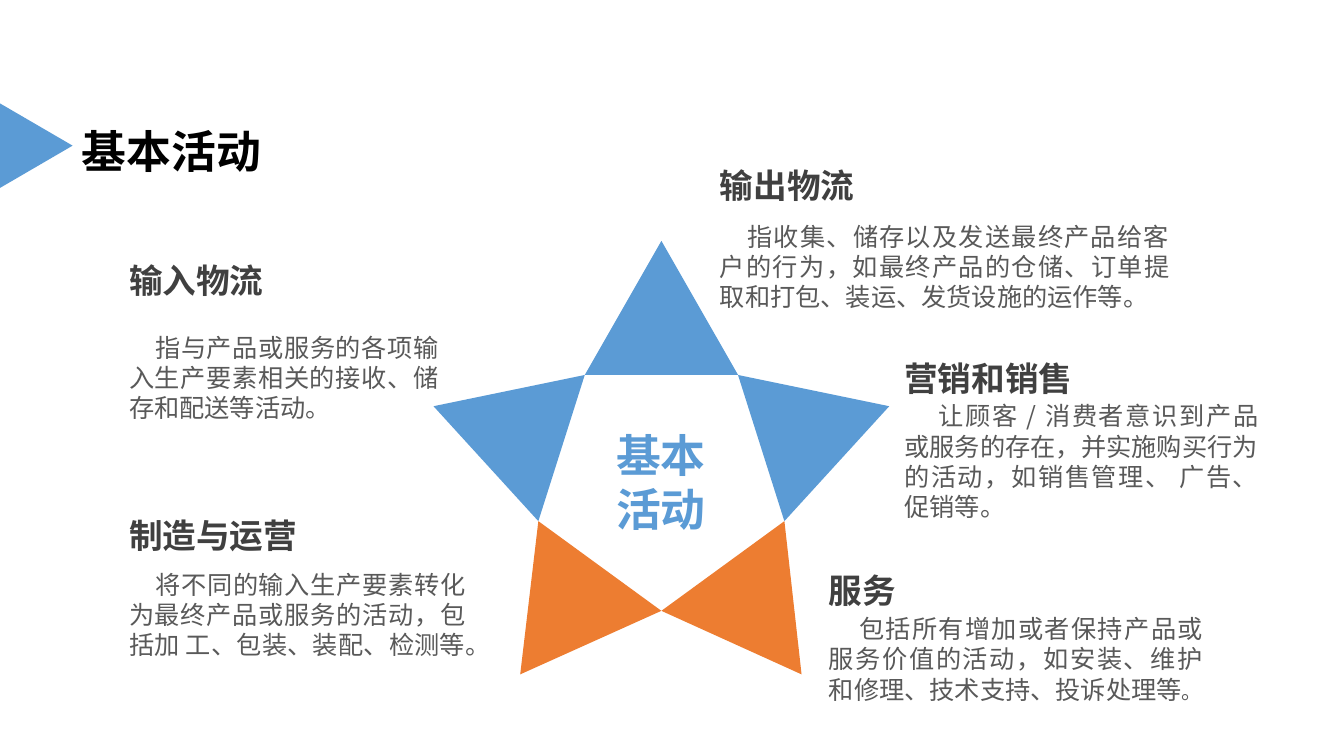
import pptx
import pptx.dml.color
import pptx.enum.shapes
import pptx.enum.text
import pptx.oxml
import pptx.oxml.ns
import pptx.util

Inches = pptx.util.Inches
Pt = pptx.util.Pt
ALIGN = pptx.enum.text.PP_ALIGN
FONT = "Noto Sans CJK SC"
BLUE = "5B9BD5"
ORANGE = "ED7D31"


def paint(fill, color):
    fill.solid()
    fill.fore_color.rgb = pptx.dml.color.RGBColor.from_string(color)


def add_text(box, runs, color, bold=False, align=ALIGN.LEFT, indent=0, inset=(0, 0), wrap=True):
    shape = slide.shapes.add_textbox(*[Inches(length) for length in box])
    size = runs[0][1]
    frame = shape.text_frame
    frame.word_wrap = wrap
    frame.margin_left = frame.margin_right = Inches(inset[0])
    frame.margin_top = Inches(inset[1]) + Pt(size / 10)
    frame.margin_bottom = Inches(inset[1])
    paragraph = frame.paragraphs[0]
    paragraph.alignment = align
    paragraph.line_spacing = Pt(size * 1.2)
    paragraph._p.get_or_add_pPr().set("indent", str(Inches(indent)))
    for text, points, latin in runs:
        run = paragraph.add_run()
        run.text = text
        run.font.size = Pt(points)
        run.font.bold = bold
        run.font.name = latin
        paint(run.font.fill, color)
        east_asian = pptx.oxml.parse_xml(
            f'<a:ea {pptx.oxml.ns.nsdecls("a")} typeface="{FONT}"/>')
        run._r.get_or_add_rPr().append(east_asian)


presentation = pptx.Presentation()
presentation.slide_width = Inches(13.33)
presentation.slide_height = Inches(7.5)
slide = presentation.slides.add_slide(presentation.slide_layouts[6])

add_text((0.68, 1.11, 2.05, 0.67), [("基本活动", 32, FONT)], "000000",
         bold=True, inset=(0.13, 0.07), wrap=False)

marker = slide.shapes.add_shape(
    pptx.enum.shapes.MSO_SHAPE.ISOSCELES_TRIANGLE,
    Inches(-0.07), Inches(1.08), Inches(0.85), Inches(0.73))
marker.rotation = 90
marker.shadow.inherit = False
paint(marker.fill, BLUE)
marker.line.fill.background()

tips = [(6.56, 2.39), (8.82, 4.03), (7.95, 6.69), (5.16, 6.69), (4.3, 4.03)]
notches = [(7.32, 3.72), (7.78, 5.17), (6.56, 6.06), (5.34, 5.17), (5.8, 3.72)]
ray_colors = [BLUE, BLUE, ORANGE, ORANGE, BLUE]
for index, (tip, color) in enumerate(zip(tips, ray_colors)):
    corners = [(Inches(x), Inches(y)) for x, y in (notches[index - 1], tip, notches[index])]
    builder = slide.shapes.build_freeform(*corners[0])
    builder.add_line_segments(corners[1:], close=True)
    ray = builder.convert_to_shape()
    ray.shadow.inherit = False
    paint(ray.fill, color)
    ray.line.fill.background()

activities = [
    ("输出物流", (7.14, 1.6, 1.84, 0.4), (7.14, 2.17, 4.46, 0.91), 0.27,
     [("指收集、储存以及发送最终产品给客户的行为，如最终产品的仓储、订单提取和打包、装运、发货设施的运作等。", 18, FONT)]),
    ("营销和销售", (8.97, 3.52, 1.84, 0.4), (8.97, 3.95, 3.51, 1.21), 0.34,
     [("让顾客 / 消费者意识到产品或服务的存在，并实施购买行为的活动，如销售管理、 广告、促销等。", 18, FONT)]),
    ("服务", (8.22, 5.62, 1.84, 0.4), (8.22, 6.06, 3.71, 1.21), 0.3,
     [("包括所有增加或者保持产品或服务价值的活动，如安装、维护和修理、技术支持、投诉处理等", 18, FONT),
      ("。", 14.7, "Arial")]),
    ("制造与运营", (1.28, 5.07, 2.14, 0.4), (1.28, 5.62, 3.34, 1.21), 0.26,
     [("将不同的输入生产要素转化为最终产品或服务的活动，包括加 工、包装、装配、检测等。", 18, FONT)]),
    ("输入物流", (1.28, 2.55, 1.58, 0.4), (1.28, 3.27, 3.07, 0.91), 0.26,
     [("指与产品或服务的各项输入生产要素相关的接收、储存和配送等活动。", 18, FONT)]),
]
for heading, heading_box, body_box, indent, body_runs in activities:
    add_text(body_box, body_runs, "595959", align=ALIGN.JUSTIFY, indent=indent)
    add_text(heading_box, [(heading, 24, FONT)], "404040", bold=True)

add_text((6.06, 4.2, 0.99, 1.08), [("基本活动", 32, FONT)], BLUE,
         bold=True, align=ALIGN.CENTER)

presentation.save("out.pptx")
